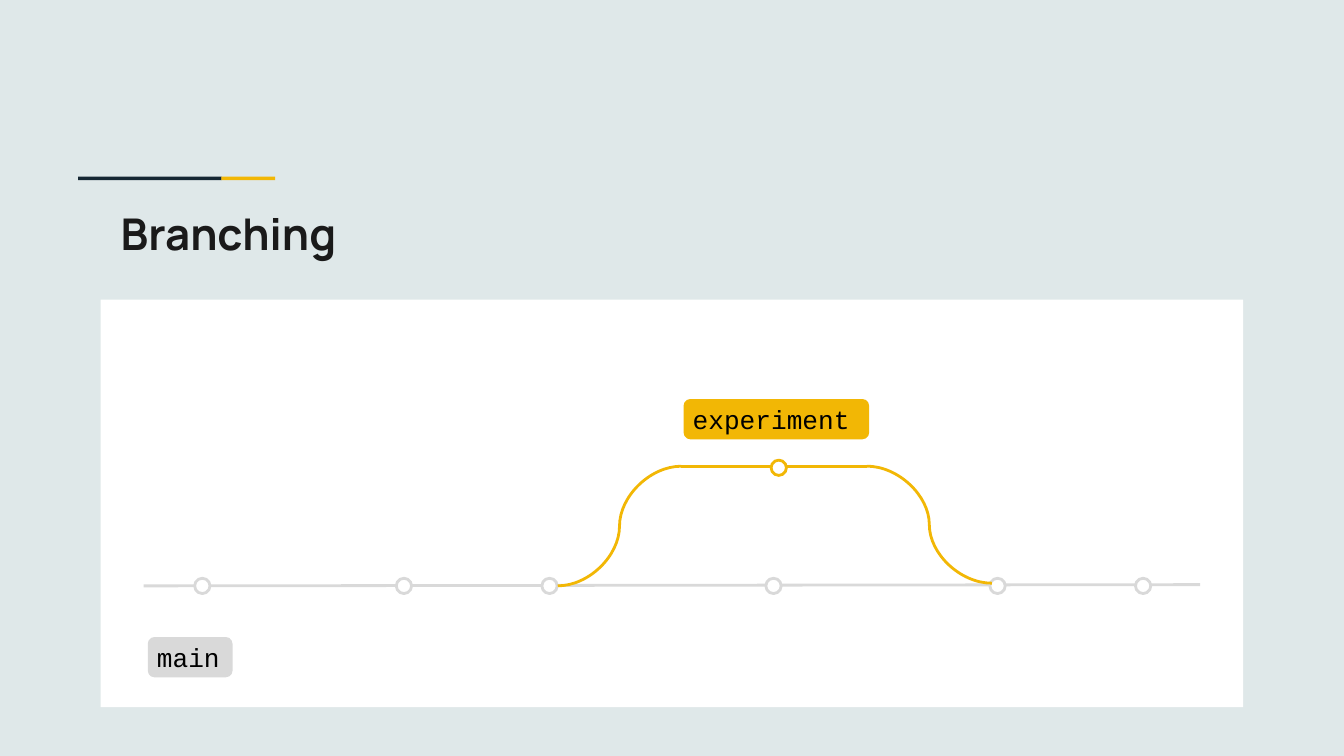
from typing import NamedTuple

from lxml import etree
from pptx import Presentation
from pptx.dml.color import RGBColor
from pptx.enum import shapes as sh, text as tx
from pptx.oxml import ns
from pptx.util import Pt

GRAY, GOLD, NAVY, WHITE = "D9D9D9", "F2B705", "152733", "FFFFFF"
KIND, LINK = sh.MSO_SHAPE, sh.MSO_CONNECTOR


class Box(NamedTuple):
    x: float
    y: float
    w: float
    h: float


class Tag(NamedTuple):
    name: str
    box: Box
    fill: str


class Path(NamedTuple):
    kind: int
    x1: float
    y1: float
    x2: float
    y2: float
    ink: str


class Dot(NamedTuple):
    x: float
    y: float
    ink: str


BARS = [(Box(41.8, 94.6, 76.9, 1.9), NAVY), (Box(118.7, 94.6, 28.8, 1.9), GOLD)]
PANEL = Box(54, 160.6, 612, 218.2)
TRUNK = Path(LINK.STRAIGHT, 77, 313.9, 643, 313.2, GRAY)
DOTS = [Dot(x, 313.9, GRAY) for x in (108.4, 216.4, 294.4, 414.4, 534.4, 612.4)]
BRANCH = [
    Path(LINK.CURVE, 298.8, 313.9, 365, 249.8, GOLD),
    Path(LINK.STRAIGHT, 365, 249.8, 464.4, 249.8, GOLD),
    Path(LINK.CURVE, 531.4, 312.5, 464.4, 249.8, GOLD),
]
TIP = Dot(417.2, 250.6, GOLD)
TAGS = [
    Tag("main", Box(79.2, 341.3, 45.4, 21.6), GRAY),
    Tag("experiment", Box(366.2, 213.8, 99.4, 21.6), GOLD),
]


def tint(code: str) -> RGBColor:
    return RGBColor.from_string(code)


def draw_shape(slide, kind: int, box: Box, fill: str, ink: str = ""):
    item = slide.shapes.add_shape(kind, *map(Pt, box))
    item.shadow.inherit = False
    item.fill.solid()
    item.fill.fore_color.rgb = tint(fill)
    if ink:
        item.line.color.rgb = tint(ink)
        item.line.width = Pt(1.5)
    else:
        item.line.fill.background()
    return item


def draw_text(slide, box: Box, words: str, font: str, size: float, ink: str,
              bold: bool = False, anchor=tx.MSO_ANCHOR.TOP) -> None:
    frame = slide.shapes.add_textbox(*map(Pt, box)).text_frame
    frame.word_wrap = True
    frame.vertical_anchor = anchor
    frame.margin_left = frame.margin_right = Pt(7.2)
    frame.margin_top = frame.margin_bottom = Pt(7.2)
    frame.text = words
    face = frame.paragraphs[0].runs[0].font
    face.name, face.size, face.bold = font, Pt(size), bold
    face.color.rgb = tint(ink)


def draw_path(slide, path: Path) -> None:
    ends = map(Pt, (path.x1, path.y1, path.x2, path.y2))
    line = slide.shapes.add_connector(path.kind, *ends)
    line.line.color.rgb = tint(path.ink)
    line.line.width = Pt(1.5)
    etree.SubElement(line._element.spPr, ns.qn("a:effectLst"))


def draw_dot(slide, dot: Dot) -> None:
    size = 8.2
    box = Box(dot.x - size / 2, dot.y - size / 2, size, size)
    draw_shape(slide, KIND.OVAL, box, WHITE, dot.ink)


def draw_tag(slide, tag: Tag) -> None:
    box = tag.box
    draw_shape(slide, KIND.ROUNDED_RECTANGLE, box, tag.fill)
    area = Box(box.x - 2.2, box.y - 5, box.w + 5.7, box.h + 10.1)
    draw_text(slide, area, tag.name, "Courier New", 14, "000000")


def main() -> None:
    """Build the slide that shows a branch leaving and rejoining main."""
    deck = Presentation()
    deck.slide_width, deck.slide_height = Pt(720), Pt(405)
    slide = deck.slides.add_slide(deck.slide_layouts[6])
    slide.background.fill.solid()
    slide.background.fill.fore_color.rgb = tint("DFE8E9")

    for box, fill in BARS:
        draw_shape(slide, KIND.RECTANGLE, box, fill)
    draw_text(slide, Box(57.6, 103.7, 605.5, 42.5), "Branching", "Manrope",
              23.4, "1A1A1A", True, tx.MSO_ANCHOR.MIDDLE)
    draw_shape(slide, KIND.RECTANGLE, PANEL, WHITE)
    draw_path(slide, TRUNK)
    for dot in DOTS:
        draw_dot(slide, dot)
    for path in BRANCH:
        draw_path(slide, path)
    draw_dot(slide, TIP)
    for tag in TAGS:
        draw_tag(slide, tag)
    deck.save("out.pptx")


if __name__ == "__main__":
    main()
